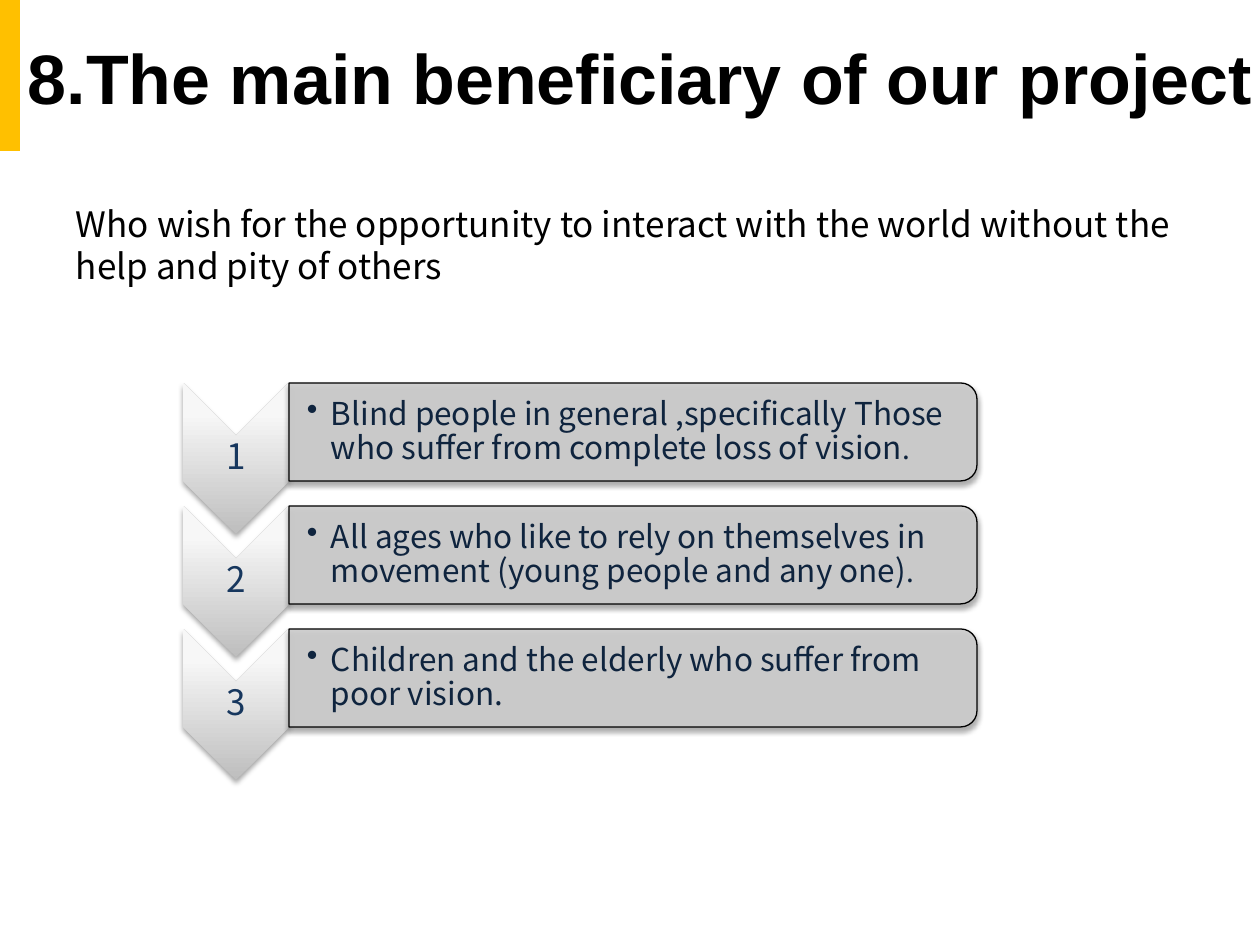
from lxml import etree
from pptx import Presentation
from pptx.dml.color import RGBColor
from pptx.enum.shapes import MSO_SHAPE
from pptx.enum.text import MSO_ANCHOR, PP_ALIGN
from pptx.oxml import parse_xml
from pptx.oxml.ns import nsdecls, qn
from pptx.util import Emu, Pt

PX = 914400 / 126
BODY_FONT = "Noto Sans CJK KR"
COLORS = {
    "accent": "FFC000", "black": "000000", "card": "CCCCCC",
    "number": "17375E", "item": "0F243E",
    "dark": "BEBEBE", "light": "F7F7F7", "lightest": "F8F8F8",
}


def add_text(box, runs, font_name, color, inset=(13, 6, 13, 6)):
    """Add a middle-anchored text box with one paragraph of (text, size) runs."""
    shape = slide.shapes.add_textbox(*[Emu(round(v * PX)) for v in box])
    frame = shape.text_frame
    frame.word_wrap = True
    frame.vertical_anchor = MSO_ANCHOR.MIDDLE
    (frame.margin_left, frame.margin_top,
     frame.margin_right, frame.margin_bottom) = [Emu(round(v * PX)) for v in inset]
    paragraph = frame.paragraphs[0]
    paragraph.font.name = font_name
    paragraph.font.color.rgb = RGBColor.from_string(COLORS[color])
    for text, size in runs:
        run = paragraph.add_run()
        run.text = text
        run.font.size = Pt(size)
    return paragraph


def add_turned_shape(kind, box):
    """Add a shape turned a quarter clockwise that fills box, with a soft shadow."""
    left, top, width, height = box
    shift = (width - height) / 2
    shape = slide.shapes.add_shape(kind, *[
        Emu(round(v * PX)) for v in (left + shift, top - shift, height, width)])
    shape.rotation = 90
    shape.shadow.inherit = False
    effects = shape._element.spPr.find(qn("a:effectLst"))
    effects.append(parse_xml(
        f'<a:outerShdw {nsdecls("a")} blurRad="39370" dist="22860" dir="5400000" '
        f'rotWithShape="0"><a:srgbClr val="{COLORS["black"]}">'
        '<a:alpha val="35000"/></a:srgbClr></a:outerShdw>'))
    return shape


presentation = Presentation()
presentation.slide_width = Emu(round(1260 * PX))
presentation.slide_height = Emu(round(945 * PX))
slide = presentation.slides.add_slide(presentation.slide_layouts[6])

# Accent bar
bar = slide.shapes.add_shape(
    MSO_SHAPE.RECTANGLE, 0, 0, Emu(round(20 * PX)), Emu(round(151 * PX)))
bar.shadow.inherit = False
bar.fill.solid()
bar.fill.fore_color.rgb = RGBColor.from_string(COLORS["accent"])
bar.line.fill.background()

# Title and introduction
title = add_text((15, 3, 1260, 147),
                 [("8.The main beneficiary of our project", 40)], "Arial", "black")
title.font.bold = True
add_text((63, 185, 1134, 118),
         [("Who wish for the opportunity to interact with the world "
           "without the help and pity of others", 20)], BODY_FONT, "black")

# Numbered beneficiaries
items = [
    [("Blind people in general ,specifically Those who suffer from "
      "complete loss of vision", 18), (".", 16)],
    [("All ages who like to rely on themselves in movement "
      "(young people and any one)", 18), (".", 16)],
    [("Children and the elderly who suffer from poor vision.", 18)],
]
for index, runs in enumerate(items):
    top = 383 + 123 * index

    # Chevron with its number
    chevron = add_turned_shape(MSO_SHAPE.CHEVRON, (183, top, 106, 151))
    chevron.line.fill.background()
    properties = chevron._element.spPr
    stops = "".join(
        f'<a:gs pos="{position}"><a:srgbClr val="{COLORS[name]}"/></a:gs>'
        for position, name in ((0, "dark"), (80000, "light"), (100000, "lightest")))
    properties.find(qn("a:prstGeom")).addnext(parse_xml(
        f'<a:gradFill {nsdecls("a")} rotWithShape="0"><a:gsLst>{stops}</a:gsLst>'
        '<a:lin ang="16200000" scaled="0"/></a:gradFill>'))
    number = add_text((183, top + 53, 106, 45), [(str(index + 1), 20)],
                      BODY_FONT, "number", (1, 1, 1, 1))
    number.alignment = PP_ALIGN.CENTER
    number.line_spacing = 0.9

    # Card with its description
    card = add_turned_shape(MSO_SHAPE.ROUND_2_SAME_RECTANGLE, (289, top, 688, 98))
    card.fill.solid()
    card.fill.fore_color.rgb = RGBColor.from_string(COLORS["card"])
    color = card._element.spPr.find(qn("a:solidFill")).find(qn("a:srgbClr"))
    etree.SubElement(color, qn("a:alpha")).set("val", "90000")
    card.line.color.rgb = RGBColor.from_string(COLORS["black"])
    card.line.width = Pt(0.75)
    item = add_text((289, top + 5, 683, 88), runs, BODY_FONT, "item", (18, 1, 1, 1))
    item.line_spacing = 0.9
    item_properties = item._p.get_or_add_pPr()
    item_properties.set("marL", str(round(24 * PX)))
    item_properties.set("indent", str(round(-24 * PX)))
    bullet = parse_xml(f'<a:buChar {nsdecls("a")} char="•"/>')
    item_properties.find(qn("a:defRPr")).addprevious(bullet)

presentation.save("out.pptx")
